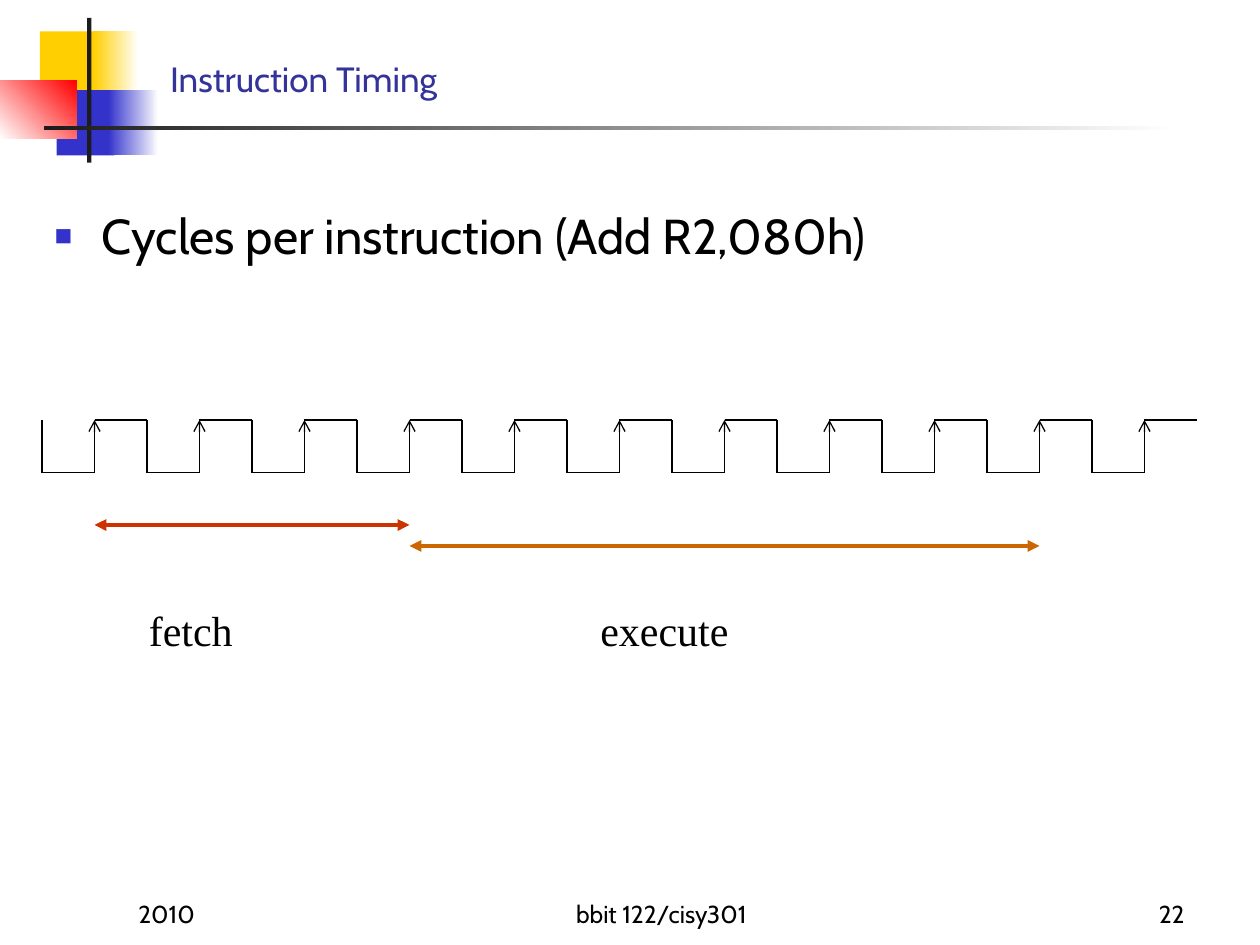
import pptx
import pptx.util
import pptx.dml.color
import pptx.enum.shapes
import pptx.enum.text
import pptx.oxml.ns
import lxml.etree

PX = 7620  # EMU per px, 120 px to the inch
SANS, SERIF = "Cabin", "Times New Roman"
LEFT, CENTER, RIGHT = (pptx.enum.text.PP_ALIGN.LEFT, pptx.enum.text.PP_ALIGN.CENTER,
                       pptx.enum.text.PP_ALIGN.RIGHT)
TOP, MIDDLE, BOTTOM = (pptx.enum.text.MSO_ANCHOR.TOP, pptx.enum.text.MSO_ANCHOR.MIDDLE,
                       pptx.enum.text.MSO_ANCHOR.BOTTOM)

# Content: boxes are left, top, width, height in px
TITLE = ("Instruction Timing", (150, 40, 1020, 70))
BULLET = ("Cycles per instruction (Add R2,080h)", (40, 190, 1130, 90))
LABELS = [("fetch", (130, 570, 210, 60)), ("execute", (560, 570, 240, 60))]
FOOTERS = [
    ("2010", (120, 830, 250, 60), LEFT),
    ("bbit 122/cisy301", (440, 830, 380, 60), CENTER),
    ("22", (890, 830, 250, 60), RIGHT),
]
# Box, colours (two make a gradient), gradient angle
DECORATION = [
    ((38, 30, 58, 62), ["FFCF01"], 0),
    ((89, 30, 43, 62), ["FFCF01", "FFFFFF"], 0),
    ((54, 86, 55, 62), ["3333CC"], 0),
    ((103, 86, 48, 62), ["3333CC", "FFFFFF"], 0),
    ((0, 77, 73, 55), ["FFFFFF", "FF0000"], 45),
    ((83, 17, 4, 138), ["1C1C1C"], 0),
    ((42, 120, 1080, 4), ["1C1C1C", "FFFFFF"], 0),
]
# Clock wave
CYCLES, HALF, WAVE_LEFT, HIGH, LOW = 11, 50, 40, 400, 450
# First and last rising edge, y, colour
PHASES = [(0, 3, 500, "CC3300"), (3, 9, 520, "CC6600")]


def rgb(value):
    return pptx.dml.color.RGBColor.from_string(value)


def emu(box):
    return [v * PX for v in box]


def add_xml(parent, tag, **attributes):
    node = lxml.etree.SubElement(parent, pptx.oxml.ns.qn(tag))
    for name, value in attributes.items():
        node.set(name, value)
    return node


def write(s, text, size=14, font=SANS, color="000000", align=LEFT, anchor=TOP, before=0):
    tf = s.text_frame
    tf.word_wrap = True
    tf.auto_size = pptx.enum.text.MSO_AUTO_SIZE.NONE
    tf.vertical_anchor = anchor
    p = tf.paragraphs[0]
    p.alignment = align
    p.space_before = pptx.util.Pt(before)
    r = p.add_run()
    r.text = text
    r.font.size, r.font.name = pptx.util.Pt(size), font
    r.font.color.rgb = rgb(color)
    return p


def place(s, box):
    s.left, s.top, s.width, s.height = emu(box)
    return s


def add_box(slide, box, colors, angle):
    s = slide.shapes.add_shape(pptx.enum.shapes.MSO_SHAPE.RECTANGLE, *emu(box))
    s.shadow.inherit = False
    s.line.fill.background()
    if len(colors) == 1:
        s.fill.solid()
        s.fill.fore_color.rgb = rgb(colors[0])
        return
    s.fill.gradient()
    s.fill.gradient_angle = angle
    for position, (stop, color) in enumerate(zip(s.fill.gradient_stops, colors)):
        stop.position = position
        stop.color.rgb = rgb(color)


def add_line(slide, start, end, color="000000", width=0.75, head=None, tail=None):
    s = slide.shapes.add_connector(pptx.enum.shapes.MSO_CONNECTOR.STRAIGHT,
                                   *emu(start + end))
    s.line.color.rgb = rgb(color)
    s.line.width = pptx.util.Pt(width)
    ln = s.line._get_or_add_ln()
    for tag, kind in (("a:headEnd", head), ("a:tailEnd", tail)):
        if kind:
            add_xml(ln, tag, type=kind)
    add_xml(s._element.spPr, "a:effectLst")


def add_bullet(p, char, color, percent, indent):
    pPr = p._p.get_or_add_pPr()
    pPr.set("marL", str(indent * PX))
    pPr.set("indent", str(-indent * PX))
    add_xml(add_xml(pPr, "a:buClr"), "a:srgbClr", val=color)
    add_xml(pPr, "a:buSzPct", val=str(percent * 1000))
    add_xml(pPr, "a:buChar", char=char)


def main():
    prs = pptx.Presentation()
    prs.slide_width, prs.slide_height = emu((1200, 900))
    slide = prs.slides.add_slide(prs.slide_layouts[1])

    # Corner blocks and rules
    for box, colors, angle in DECORATION:
        add_box(slide, box, colors, angle)

    # Title and bullet
    text, box = TITLE
    write(place(slide.shapes.title, box), text, size=20, color="333399", anchor=MIDDLE)
    text, box = BULLET
    p = write(place(slide.placeholders[1], box), text, size=28, before=7)
    add_bullet(p, "■", "3333CC", 60, 45)

    # Clock wave: fall, low, rise with arrow, high
    for i in range(CYCLES):
        x = WAVE_LEFT + i * 2 * HALF
        rise, end = x + HALF, x + 2 * HALF
        add_line(slide, (x, HIGH), (x, LOW))
        add_line(slide, (x, LOW), (rise, LOW))
        add_line(slide, (rise, HIGH), (rise, LOW), head="arrow")
        add_line(slide, (rise, HIGH), (end, HIGH))

    # Phase spans between rising edges
    for first, last, y, color in PHASES:
        x1, x2 = (WAVE_LEFT + HALF + n * 2 * HALF for n in (first, last))
        add_line(slide, (x1, y), (x2, y), color, 2.25, "triangle", "triangle")

    # Phase labels and footer
    for text, box in LABELS:
        write(slide.shapes.add_textbox(*emu(box)), text, size=24, font=SERIF, before=15)
    for text, box, align in FOOTERS:
        write(slide.shapes.add_textbox(*emu(box)), text, align=align, anchor=BOTTOM)

    prs.save("out.pptx")


if __name__ == "__main__":
    main()
